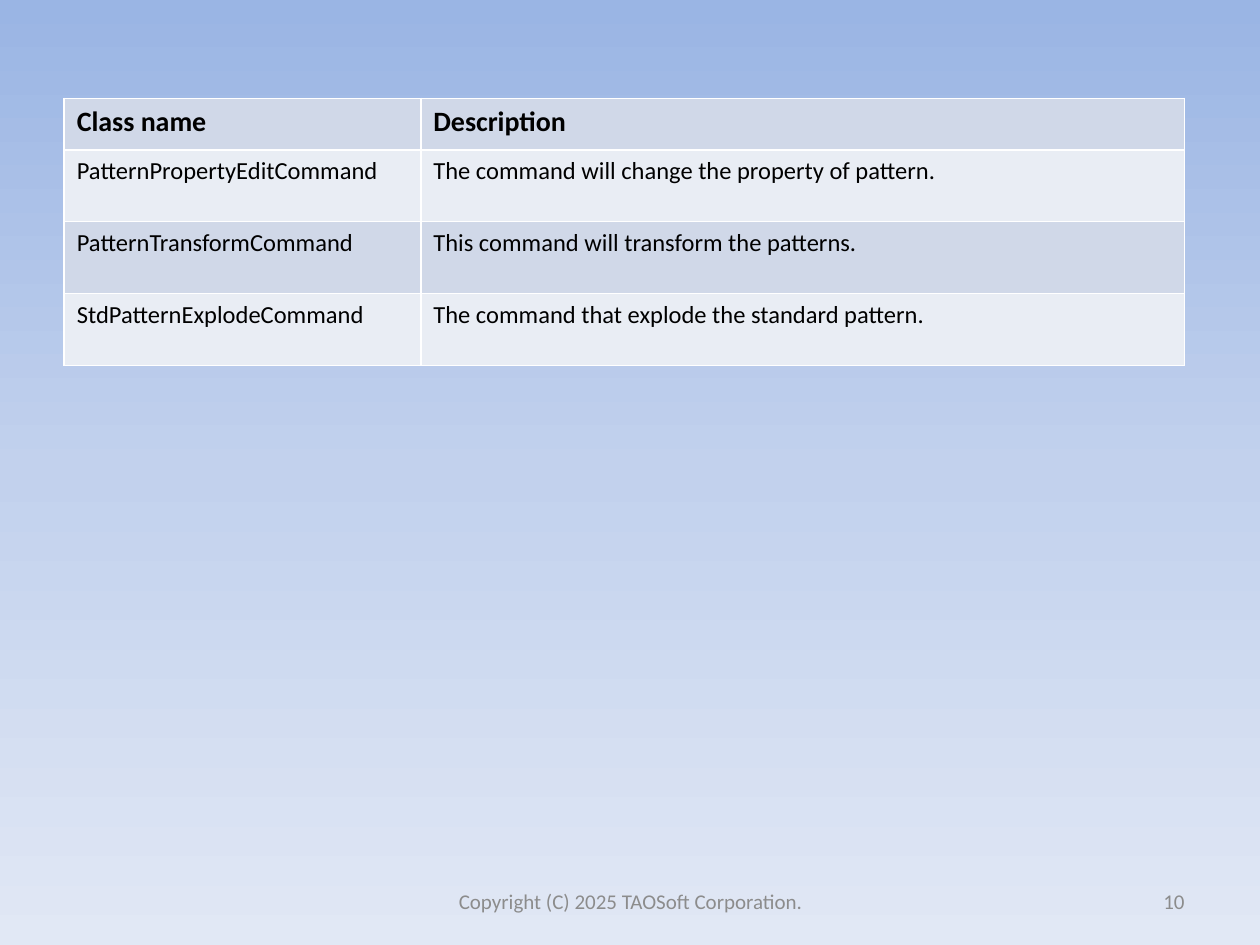
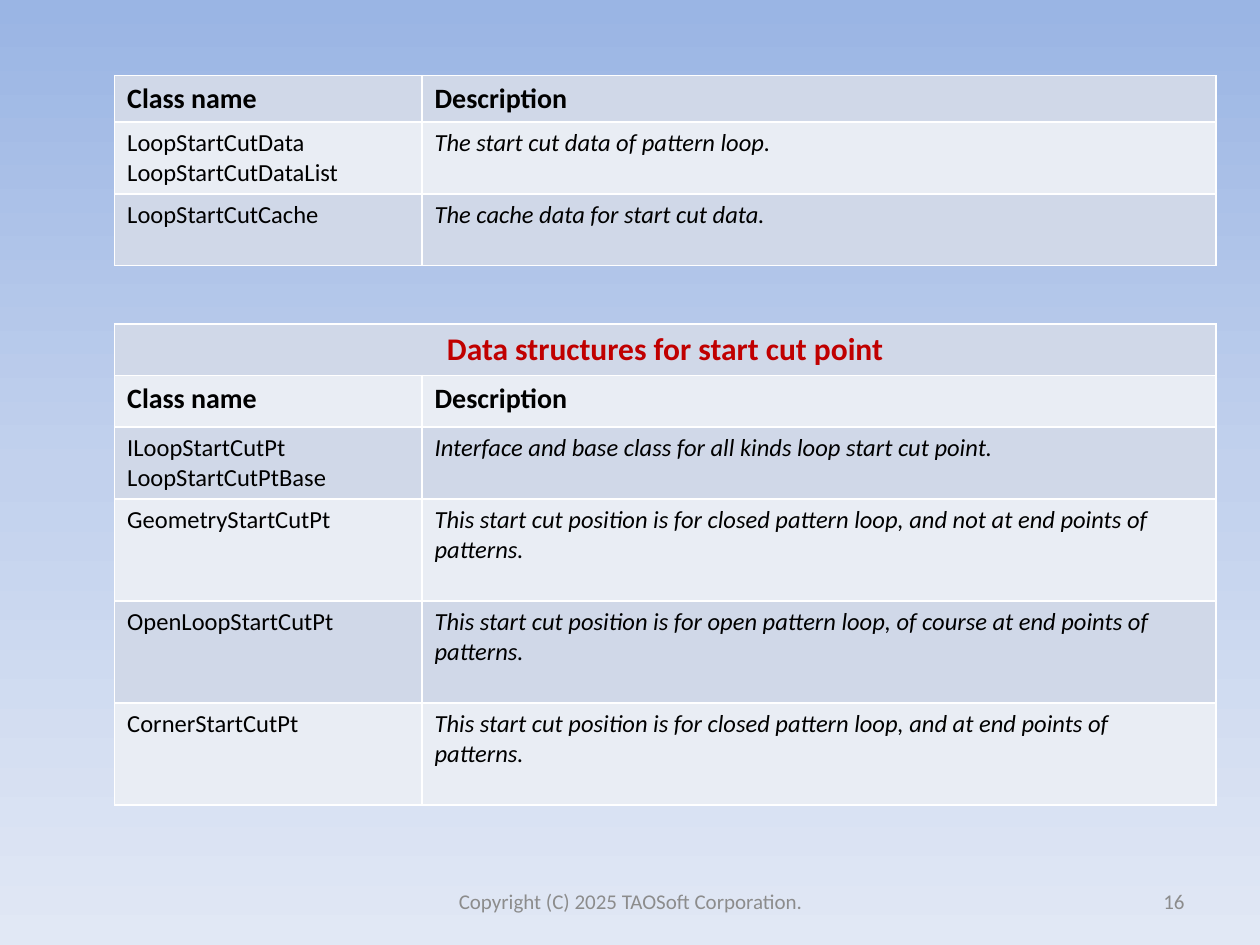
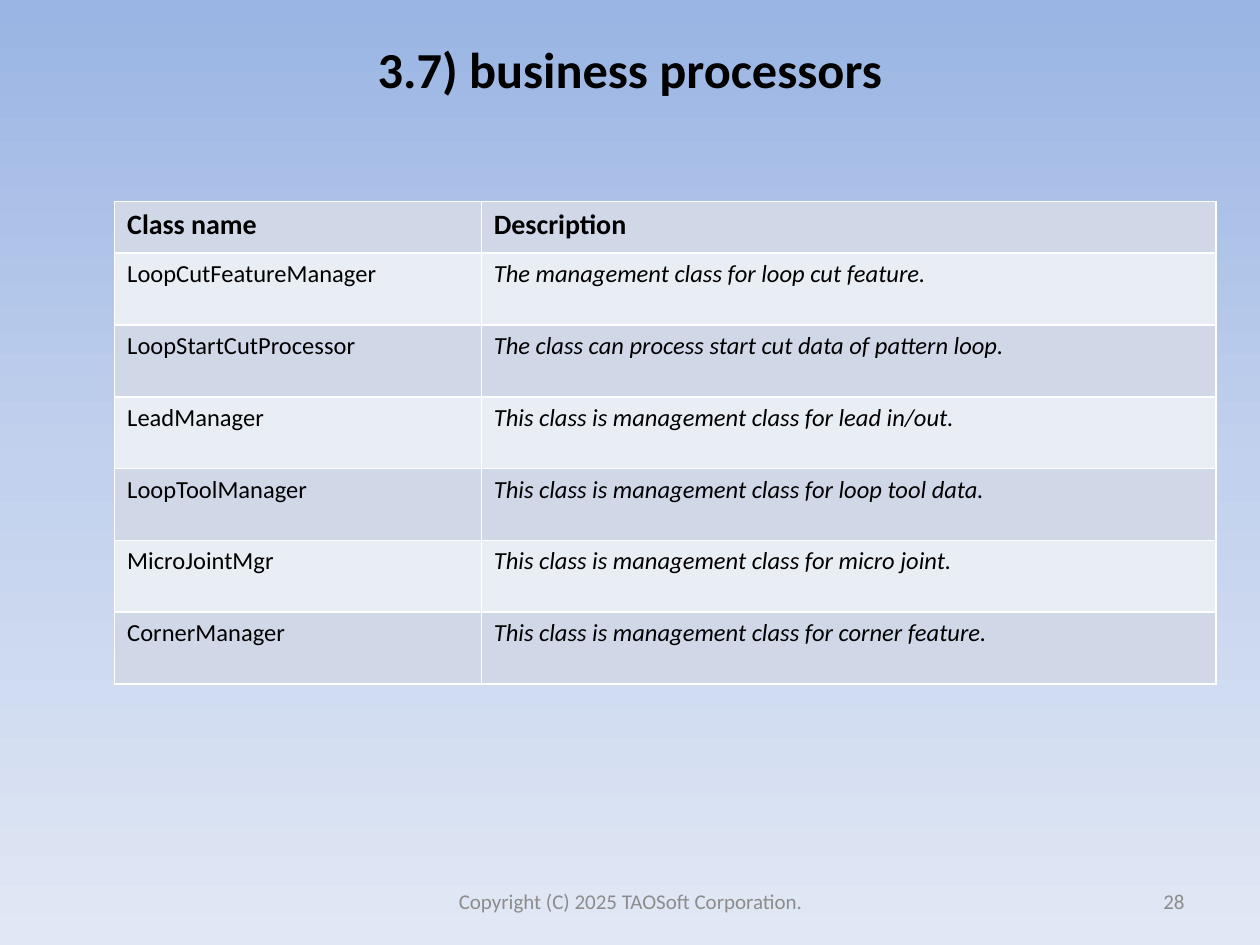
from copy import deepcopy
from dataclasses import dataclass

from pptx import Presentation
from pptx.dml.color import RGBColor
from pptx.enum.text import MSO_ANCHOR, PP_ALIGN
from pptx.oxml import parse_xml
from pptx.oxml.ns import nsdecls, qn
from pptx.util import Inches, Pt

FONT = "Calibri"
COLORS = {
    "sky": "9AB5E4", "mist": "C2D1ED", "haze": "E1E8F5",
    "dark": "D0D8E8", "light": "E9EDF4", "rule": "FFFFFF",
    "ink": "000000", "gray": "8C8C8C", "red": "C00000",
}
FOOTER = "Copyright (C) 2025 TAOSoft Corporation."
HEAD = ("Class name", "Description")
SHORT, TALL = 0.57, 0.81  # body rows with one or two lines of description


@dataclass
class Entry:
    name: str
    about: str
    height: float = SHORT


@dataclass
class Grid:
    left: float
    top: float
    cols: tuple[float, float]
    rows: list[Entry]
    head: float = 0.41
    banner: str = ""
    italic: bool = True


@dataclass
class Page:
    number: int
    grids: list[Grid]
    title: str = ""


PAGES = [
    Page(10, [
        Grid(0.51, 0.78, (2.83, 6.06), [
            Entry("PatternPropertyEditCommand",
                  "The command will change the property of pattern."),
            Entry("PatternTransformCommand",
                  "This command will transform the patterns."),
            Entry("StdPatternExplodeCommand",
                  "The command that explode the standard pattern."),
        ], italic=False),
    ]),
    Page(16, [
        Grid(0.91, 2.57, (2.44, 6.3), [
            Entry("ILoopStartCutPt\nLoopStartCutPtBase",
                  "Interface and base class for all kinds loop start cut point."),
            Entry("GeometryStartCutPt",
                  "This start cut position is for closed pattern loop, "
                  "and not at end points of patterns.", TALL),
            Entry("OpenLoopStartCutPt",
                  "This start cut position is for open pattern loop, "
                  "of course at end points of patterns.", TALL),
            Entry("CornerStartCutPt",
                  "This start cut position is for closed pattern loop, "
                  "and at end points of patterns.", TALL),
        ], banner="Data structures for start cut point"),
        Grid(0.91, 0.6, (2.44, 6.3), [
            Entry("LoopStartCutData\nLoopStartCutDataList",
                  "The start cut data of pattern loop."),
            Entry("LoopStartCutCache", "The cache data for start cut data."),
        ], head=0.37),
    ]),
    Page(28, [
        Grid(0.91, 1.6, (2.91, 5.83), [
            Entry("LoopCutFeatureManager",
                  "The management class for loop cut feature."),
            Entry("LoopStartCutProcessor",
                  "The class can process start cut data of pattern loop."),
            Entry("LeadManager",
                  "This class is management class for lead in/out."),
            Entry("LoopToolManager",
                  "This class is management class for loop tool data."),
            Entry("MicroJointMgr",
                  "This class is management class for micro joint."),
            Entry("CornerManager",
                  "This class is management class for corner feature."),
        ]),
    ], title="3.7) business processors"),
]


def paint(color) -> RGBColor:
    return RGBColor.from_string(COLORS[color])


def write(frame, text: str, size: float = 14, color: str = "ink",
          bold: bool = False, italic: bool = False, align=PP_ALIGN.LEFT) -> None:
    frame.text = text
    frame.word_wrap = True
    for para in frame.paragraphs:
        para.alignment = align
        font = para.runs[0].font
        font.name, font.size = FONT, Pt(size)
        font.bold, font.italic = bold, italic
        font.color.rgb = paint(color)


def label(slide, text: str, left: float, top: float, width: float,
          height: float, anchor=MSO_ANCHOR.MIDDLE, **style) -> None:
    box = slide.shapes.add_textbox(
        Inches(left), Inches(top), Inches(width), Inches(height))
    frame = box.text_frame
    frame.vertical_anchor = anchor
    if anchor == MSO_ANCHOR.TOP:
        frame.margin_top = 0
    write(frame, text, **style)


def shade(deck) -> None:
    """Give every slide the same three-stop vertical gradient."""
    fill = deck.slide_master.background.fill
    fill.gradient()
    fill.gradient_angle = 270
    stops = deck.slide_master.element.find(".//" + qn("a:gsLst"))
    stops.append(deepcopy(stops[-1]))
    for stop, place, color in zip(
            fill.gradient_stops, (0, 0.5, 1), ("sky", "mist", "haze")):
        stop.position = place
        stop.color.rgb = paint(color)


def edge(cell) -> None:
    props = cell._tc.get_or_add_tcPr()
    for side in ("lnL", "lnR", "lnT", "lnB"):
        props.append(parse_xml(
            f'<a:{side} {nsdecls("a")} w="{Pt(1)}"><a:solidFill>'
            f'<a:srgbClr val="{COLORS["rule"]}"/></a:solidFill></a:{side}>'))


def draw(slide, grid: Grid) -> None:
    start = 1 if grid.banner else 0
    heights = [0.41] * start + [grid.head] + [row.height for row in grid.rows]
    table = slide.shapes.add_table(
        len(heights), 2, Inches(grid.left), Inches(grid.top),
        Inches(sum(grid.cols)), Inches(sum(heights))).table
    table.first_row = table.horz_banding = False
    for col, width in zip(table.columns, grid.cols):
        col.width = Inches(width)

    # Bands and borders
    for i, (row, height) in enumerate(zip(table.rows, heights)):
        row.height = Inches(height)
        for cell in row.cells:
            edge(cell)
            cell.fill.solid()
            cell.fill.fore_color.rgb = paint("light" if i % 2 else "dark")

    # Banner, headings and entries
    if grid.banner:
        table.cell(0, 0).merge(table.cell(0, 1))
        write(table.cell(0, 0).text_frame, grid.banner, size=18,
              color="red", bold=True, align=PP_ALIGN.CENTER)
    for j, text in enumerate(HEAD):
        write(table.cell(start, j).text_frame, text, size=16, bold=True)
    for i, row in enumerate(grid.rows, start + 1):
        write(table.cell(i, 0).text_frame, row.name)
        write(table.cell(i, 1).text_frame, row.about, italic=grid.italic)


def build(deck, page: Page) -> None:
    slide = deck.slides.add_slide(deck.slide_layouts[6])
    if page.title:
        label(slide, page.title, 0.5, 0.3, 9, 0.93, anchor=MSO_ANCHOR.TOP,
              size=28.8, bold=True, align=PP_ALIGN.CENTER)
    label(slide, FOOTER, 3.42, 6.95, 3.17, 0.4,
          size=12, color="gray", align=PP_ALIGN.CENTER)
    label(slide, str(page.number), 7.17, 6.95, 2.33, 0.4,
          size=12, color="gray", align=PP_ALIGN.RIGHT)
    for grid in page.grids:
        draw(slide, grid)


def main() -> None:
    deck = Presentation()
    deck.slide_width, deck.slide_height = Inches(10), Inches(7.5)
    shade(deck)
    for page in PAGES:
        build(deck, page)
    deck.save("out.pptx")


if __name__ == "__main__":
    main()
